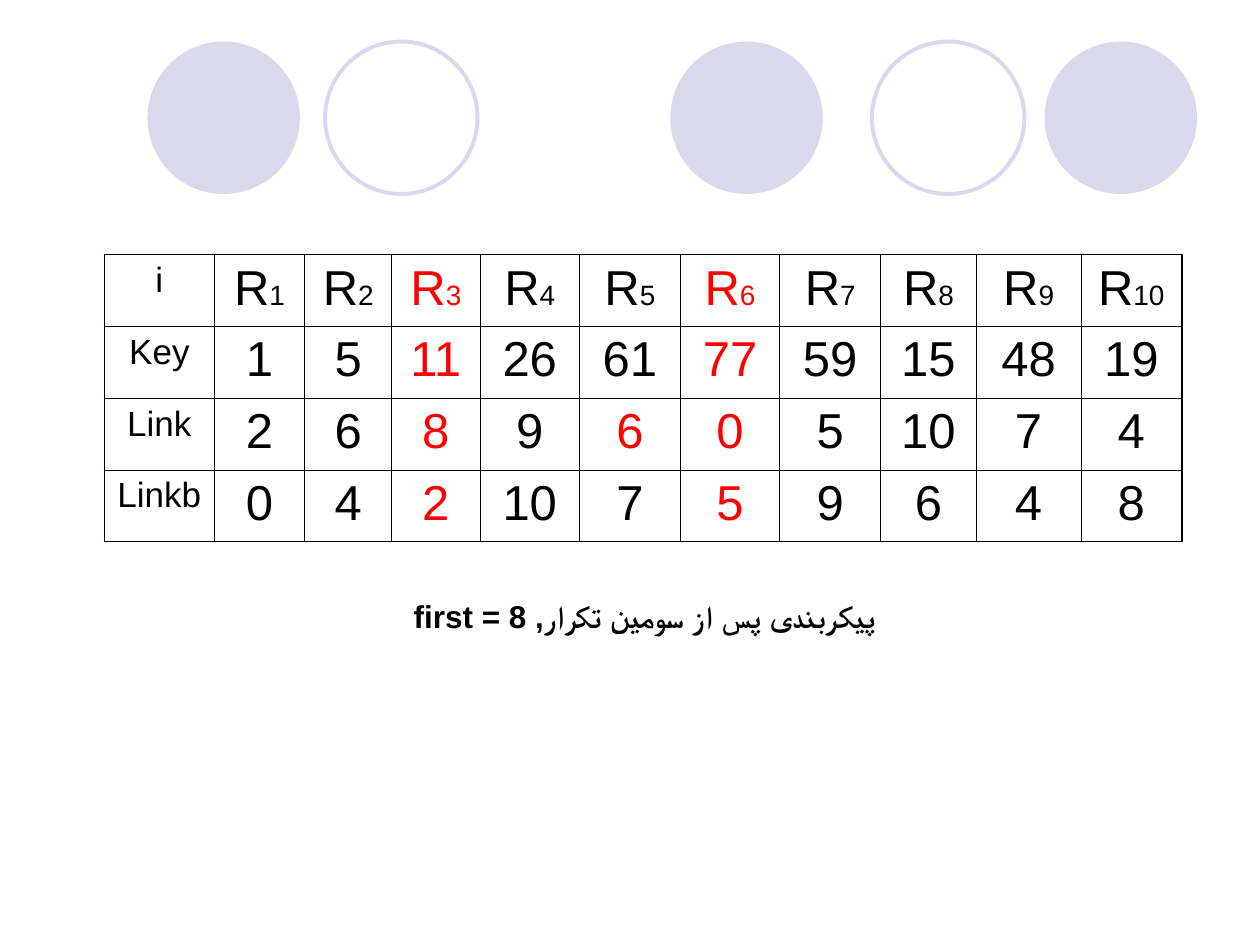
from typing import NamedTuple

from lxml import etree
from pptx import Presentation, util as u
from pptx.dml.color import RGBColor
from pptx.enum import shapes, text
from pptx.oxml.ns import qn

LAVENDER = RGBColor(0xD9, 0xD8, 0xEC)
BLACK = RGBColor(0, 0, 0)
RED = RGBColor(0xFF, 0, 0)
WHITE = RGBColor(0xFF, 0xFF, 0xFF)

SLIDE_WIDTH, SLIDE_HEIGHT = u.Inches(10), u.Inches(7.5)
DIAMETER = u.Inches(1.21)
FONT = "Arial"
THIN, THICK = u.Pt(0.45), u.Pt(1.08)


class Circle(NamedTuple):
    left: float  # share of the slide's width
    filled: bool


class Span(NamedTuple):
    words: str
    size: int
    color: RGBColor = BLACK
    bold: bool = False


CIRCLES = [
    Circle(0.532, True),
    Circle(0.829, True),
    Circle(0.117, True),
    Circle(0.692, False),
    Circle(0.258, False),
]
CIRCLE_TOP = 0.044

COLUMN_WIDTHS = [0.87, 0.72, 0.69, 0.7, 0.79, 0.8, 0.79, 0.8, 0.76, 0.83, 0.8]
ROW_HEIGHT = 0.57
RECORD_ROWS = {
    "Key": [1, 5, 11, 26, 61, 77, 59, 15, 48, 19],
    "Link": [2, 6, 8, 9, 6, 0, 5, 10, 7, 4],
    "Linkb": [0, 4, 2, 10, 7, 5, 9, 6, 4, 8],
}
SWAPPED_RECORDS = {3, 6}
CHANGED_LINK = ("Link", 5)
CAPTION = "پیکربندی پس از سومین تکرار, first = 8"


def write(para, spans: list[Span]) -> None:
    para.alignment = text.PP_ALIGN.CENTER
    for item in spans:
        span = para.add_run()
        span.text = item.words
        formats = {"name": FONT, "size": u.Pt(item.size), "bold": item.bold}
        for name, value in formats.items():
            setattr(span.font, name, value)
        span.font.color.rgb = item.color


def draw_circle(page, circle: Circle) -> None:
    shape = page.shapes.add_shape(
        shapes.MSO_SHAPE.OVAL,
        int(circle.left * SLIDE_WIDTH), int(CIRCLE_TOP * SLIDE_HEIGHT),
        DIAMETER, DIAMETER)
    shape.shadow.inherit = False
    if circle.filled:
        shape.fill.solid()
        shape.fill.fore_color.rgb = LAVENDER
        shape.line.fill.background()
    else:
        shape.fill.background()
        shape.line.color.rgb = LAVENDER
        shape.line.width = u.Pt(2.25)


def set_borders(cell, outer: dict[str, bool]) -> None:
    """Rule each side of a cell, thicker where it lies on the table's edge."""
    properties = cell._tc.get_or_add_tcPr()
    for side, is_outer in outer.items():
        line = etree.SubElement(properties, qn(f"a:ln{side}"),
                                w=str(int(THICK if is_outer else THIN)))
        fill = etree.SubElement(line, qn("a:solidFill"))
        etree.SubElement(fill, qn("a:srgbClr"), val=str(BLACK))


def table_rows() -> list[list[list[Span]]]:
    """Return the spans of every cell, heading row first."""
    def color(label: str, record: int) -> RGBColor:
        changed = record in SWAPPED_RECORDS or (label, record) == CHANGED_LINK
        return RED if changed else BLACK

    heading = [[Span("i", 20)]]
    for record in range(1, len(COLUMN_WIDTHS)):
        shade = color("i", record)
        heading.append([Span("R", 28, shade), Span(str(record), 16, shade)])
    body = [
        [[Span(label, 20)]] + [[Span(str(value), 28, color(label, record))]
                               for record, value in enumerate(values, 1)]
        for label, values in RECORD_ROWS.items()
    ]
    return [heading] + body


def draw_table(page) -> None:
    rows = table_rows()
    last_row, last_column = len(rows) - 1, len(COLUMN_WIDTHS) - 1
    table = page.shapes.add_table(
        len(rows), len(COLUMN_WIDTHS), u.Inches(0.83), u.Inches(2.02),
        u.Inches(sum(COLUMN_WIDTHS)), u.Inches(ROW_HEIGHT * len(rows))).table
    table.first_row = table.horz_banding = False
    for column, width in zip(table.columns, COLUMN_WIDTHS):
        column.width = u.Inches(width)
    for r, row in enumerate(rows):
        table.rows[r].height = u.Inches(ROW_HEIGHT)
        for c, spans in enumerate(row):
            cell = table.cell(r, c)
            set_borders(cell, {"L": c == 0, "R": c == last_column,
                               "T": r == 0, "B": r == last_row})
            if (r, c) == (2, CHANGED_LINK[1]):
                cell.fill.solid()
                cell.fill.fore_color.rgb = WHITE
            else:
                cell.fill.background()
            write(cell.text_frame.paragraphs[0], spans)


def draw_caption(page) -> None:
    box = page.shapes.add_textbox(u.Inches(1.14), u.Inches(4.69),
                                  u.Inches(7.95), u.Inches(1.32))
    box.text_frame.word_wrap = True
    para = box.text_frame.paragraphs[0]
    write(para, [Span(CAPTION, 18, bold=True)])
    para._p.get_or_add_pPr().set("rtl", "1")
    properties = para.runs[0]._r.get_or_add_rPr()
    etree.SubElement(properties, qn("a:cs"), typeface=FONT)


def main() -> None:
    deck = Presentation()
    deck.slide_width, deck.slide_height = SLIDE_WIDTH, SLIDE_HEIGHT
    page = deck.slides.add_slide(deck.slide_layouts[6])
    for circle in CIRCLES:
        draw_circle(page, circle)
    draw_table(page)
    draw_caption(page)
    deck.save("out.pptx")


if __name__ == "__main__":
    main()
